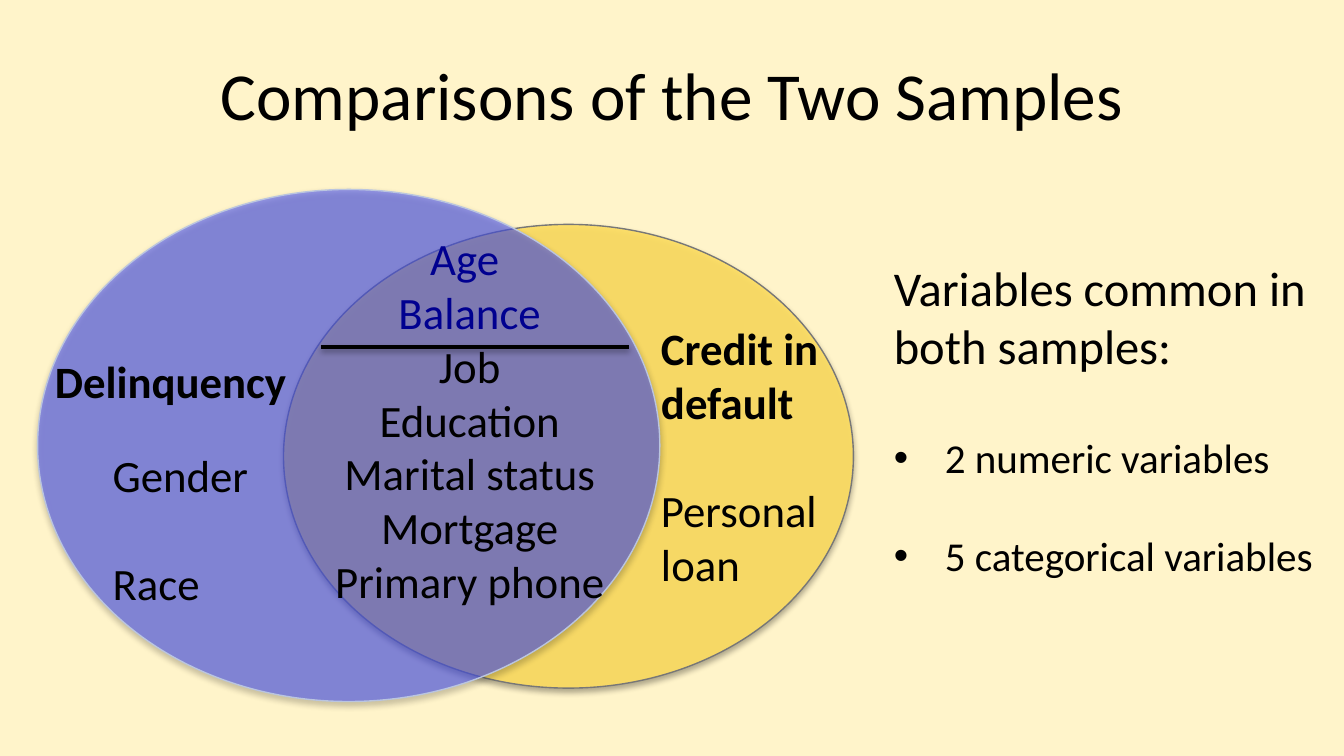
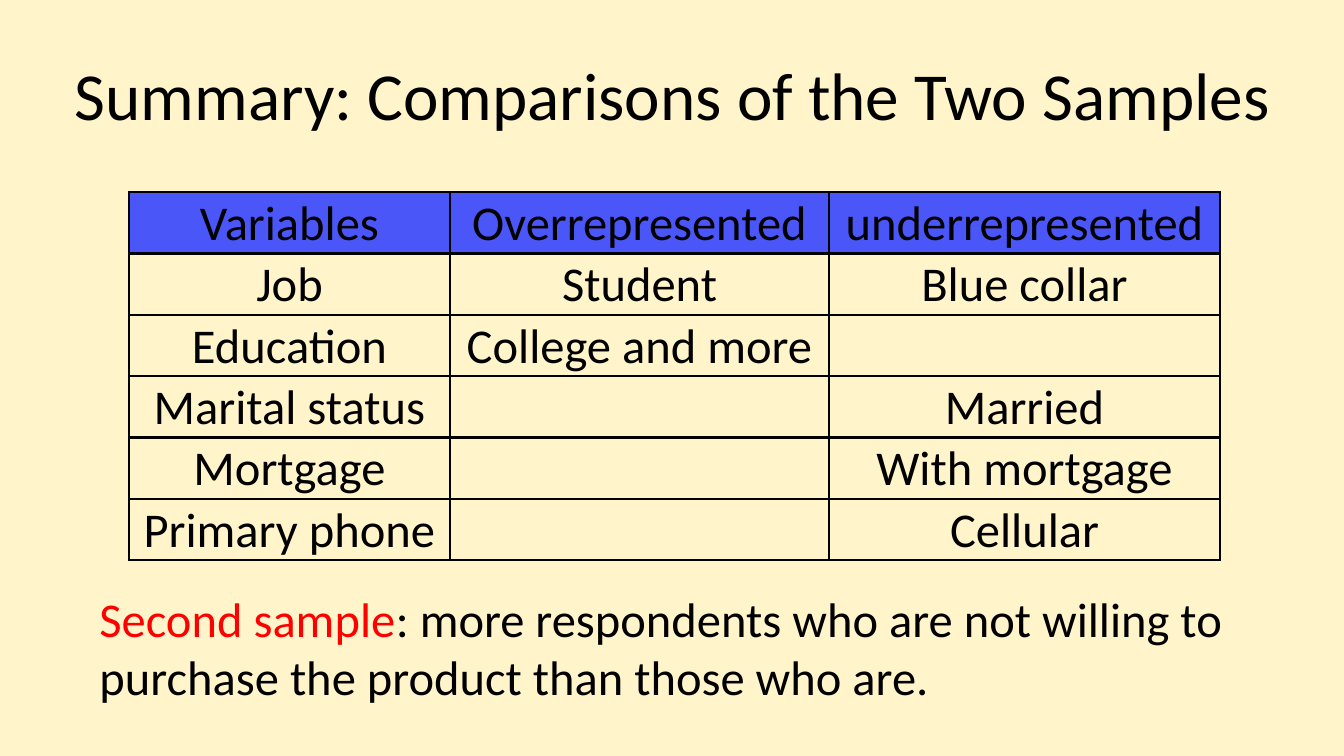
from lxml.etree import SubElement
from pptx import Presentation
from pptx.dml.color import RGBColor
from pptx.enum.shapes import MSO_CONNECTOR, MSO_SHAPE
from pptx.enum.text import MSO_ANCHOR, MSO_AUTO_SIZE, PP_ALIGN
from pptx.oxml.ns import qn
from pptx.util import Emu, Inches, Pt

CREAM = RGBColor(0xFF, 0xF4, 0xCA)
YELLOW = RGBColor(0xFE, 0xDE, 0x61)
BLUE = RGBColor(0x4B, 0x56, 0xF8)
NAVY = RGBColor(0x00, 0x00, 0x90)
GREY = RGBColor(0x77, 0x77, 0x77)
PALE_BLUE = RGBColor(0xBA, 0xC5, 0xDF)
RED = RGBColor(0xFF, 0x00, 0x00)
BLACK = RGBColor(0x00, 0x00, 0x00)
FONT = "Calibri"
LINE_GAP = 29

VENN_TITLE = "Comparisons of the Two Samples"
CIRCLES = [
    ((2.11, 1.67, 4.24, 3.45), YELLOW, 90, GREY),
    ((0.28, 1.41, 4.63, 3.81), BLUE, 58, PALE_BLUE),
]
VENN_LABELS = [
    ((2.31, 1.67, 2.37, 2.93), [
        ("Age ", {"color": NAVY}),
        ("Balance", {"color": NAVY}),
        ("Job", {}),
        ("Education", {}),
        ("Marital status Mortgage Primary phone", {}),
    ], PP_ALIGN.CENTER),
    ((0.31, 2.58, 2.08, 0.5), [("Delinquency", {"bold": True})], PP_ALIGN.LEFT),
    ((0.74, 3.28, 1.37, 1.31), [
        ("Gender", {}),
        ("Race", {"gap": LINE_GAP}),
    ], PP_ALIGN.LEFT),
    ((4.82, 2.34, 1.43, 2.12), [
        ("Credit in default", {"bold": True}),
        ("Personal", {"gap": LINE_GAP}),
        ("loan", {}),
    ], PP_ALIGN.LEFT),
]
DIVIDER = (2.39, 2.58, 4.68, 2.58)
COMMON_BOX = (6.55, 1.87, 3.93, 2.83)
COMMON_VARIABLES = [
    ("Variables common in both samples:", {"size": 26}),
    ("2 numeric variables", {"size": 22, "gap": 31.2, "bullet": True}),
    ("5 categorical variables", {"size": 22, "gap": 26.2, "bullet": True}),
]

SUMMARY_TITLE = "Summary: Comparisons of the Two Samples"
SUMMARY_ROWS = [
    ("Variables", "Overrepresented", "underrepresented"),
    ("Job", "Student", "Blue collar"),
    ("Education", "College and more", ""),
    ("Marital status", "", "Married"),
    ("Mortgage", "", "With mortgage"),
    ("Primary phone", "", "Cellular"),
]
SUMMARY_CORNER = (0.96, 1.43)
COLUMN_WIDTHS = (2.39, 2.82, 2.91)
SUMMARY_HEIGHT = 2.74
NOTE_BOX = (0.64, 4.33, 9.56, 1.41)
NOTE = [
    ("Second sample", {"color": RED}),
    (": more respondents who are not willing to purchase the product "
     "than those who are.", {"same_line": True}),
]


def inches(values):
    return [Inches(value) for value in values]


def add_text(frame, text, size=24, color=BLACK, bold=False, align=PP_ALIGN.LEFT,
             gap=0, bullet=False, same_line=False):
    paragraph = frame.paragraphs[-1]
    if not same_line:
        if paragraph.runs:
            paragraph = frame.add_paragraph()
        paragraph.alignment = align
        paragraph.space_before = Pt(gap)
        props = paragraph._p.get_or_add_pPr()
        indent = Inches(0.38) if bullet else 0
        props.set("marL", str(indent))
        props.set("indent", str(-indent))
        if bullet:
            SubElement(props, qn("a:buFont"), typeface="Arial")
            SubElement(props, qn("a:buChar"), char="•")
        else:
            SubElement(props, qn("a:buNone"))
    run = paragraph.add_run()
    run.text = text
    run.font.name, run.font.size, run.font.bold = FONT, Pt(size), bold
    run.font.color.rgb = color


def place(shape, box):
    shape.left, shape.top, shape.width, shape.height = inches(box)
    shape.text_frame.word_wrap = True
    shape.text_frame.auto_size = MSO_AUTO_SIZE.NONE
    return shape.text_frame


def add_shadow(shape, opacity, distance):
    props = shape._element.spPr
    effects = SubElement(props, qn("a:effectLst"))
    shadow = SubElement(effects, qn("a:outerShdw"), blurRad=str(Pt(3.1)),
                        dist=str(Pt(distance)), dir="5400000", rotWithShape="0")
    tint = SubElement(shadow, qn("a:srgbClr"), val=str(BLACK))
    SubElement(tint, qn("a:alpha"), val=str(opacity * 1000))


def add_titled_slide(prs, title, left, width):
    slide = prs.slides.add_slide(prs.slide_layouts[1])
    frame = place(slide.shapes.title, (left, 0.23, width, 0.94))
    frame.vertical_anchor = MSO_ANCHOR.MIDDLE
    add_text(frame, title, size=36, align=PP_ALIGN.CENTER)
    return slide


def add_circle(slide, box, color, opacity, outline):
    circle = slide.shapes.add_shape(MSO_SHAPE.OVAL, *inches(box))
    circle.fill.solid()
    circle.fill.fore_color.rgb = color
    tint = circle._element.spPr.find(qn("a:solidFill")).find(qn("a:srgbClr"))
    SubElement(tint, qn("a:alpha"), val=str(opacity * 1000))
    circle.line.color.rgb = outline
    circle.line.width = Pt(0.75)
    add_shadow(circle, 35, 1.8)


def add_borders(cell):
    props = cell._tc.get_or_add_tcPr()
    for index, side in enumerate(("a:lnL", "a:lnR", "a:lnT", "a:lnB")):
        border = props.makeelement(qn(side), {"w": str(Pt(1.5))})
        fill = SubElement(border, qn("a:solidFill"))
        SubElement(fill, qn("a:srgbClr"), val=str(BLACK))
        props.insert(index, border)


def build_venn(prs):
    slide = add_titled_slide(prs, VENN_TITLE, 0.5, 9)
    common = place(slide.placeholders[1], COMMON_BOX)
    for text, style in COMMON_VARIABLES:
        add_text(common, text, **style)
    for circle in CIRCLES:
        add_circle(slide, *circle)
    for box, lines, align in VENN_LABELS:
        frame = place(slide.shapes.add_textbox(0, 0, 0, 0), box)
        for text, style in lines:
            add_text(frame, text, align=align, **style)
    divider = slide.shapes.add_connector(MSO_CONNECTOR.STRAIGHT, *inches(DIVIDER))
    divider.line.color.rgb = BLACK
    divider.line.width = Pt(2)
    add_shadow(divider, 38, 1.6)


def build_summary(prs):
    slide = add_titled_slide(prs, SUMMARY_TITLE, 0.1, 9.81)
    size = (sum(COLUMN_WIDTHS), SUMMARY_HEIGHT)
    summary = slide.shapes.add_table(len(SUMMARY_ROWS), len(COLUMN_WIDTHS),
                                     *inches(SUMMARY_CORNER + size)).table
    summary.horz_banding = False
    for column, width in zip(summary.columns, COLUMN_WIDTHS):
        column.width = Inches(width)
    for r, row in enumerate(SUMMARY_ROWS):
        for c, text in enumerate(row):
            cell = summary.cell(r, c)
            cell.vertical_anchor = MSO_ANCHOR.BOTTOM
            cell.margin_left = cell.margin_right = cell.margin_top = Inches(0.01)
            cell.margin_bottom = Emu(0)
            if r == 0:
                cell.fill.solid()
                cell.fill.fore_color.rgb = BLUE
            else:
                cell.fill.background()
            add_borders(cell)
            if text:
                add_text(cell.text_frame, text, size=26, align=PP_ALIGN.CENTER)
    note = place(slide.placeholders[1], NOTE_BOX)
    for text, style in NOTE:
        add_text(note, text, size=26, **style)


def main():
    prs = Presentation()
    prs.slide_width = Inches(10)
    prs.slide_height = prs.slide_width * 9 // 16
    background = prs.slide_master.background.fill
    background.solid()
    background.fore_color.rgb = CREAM
    build_venn(prs)
    build_summary(prs)
    prs.save("out.pptx")


if __name__ == "__main__":
    main()
